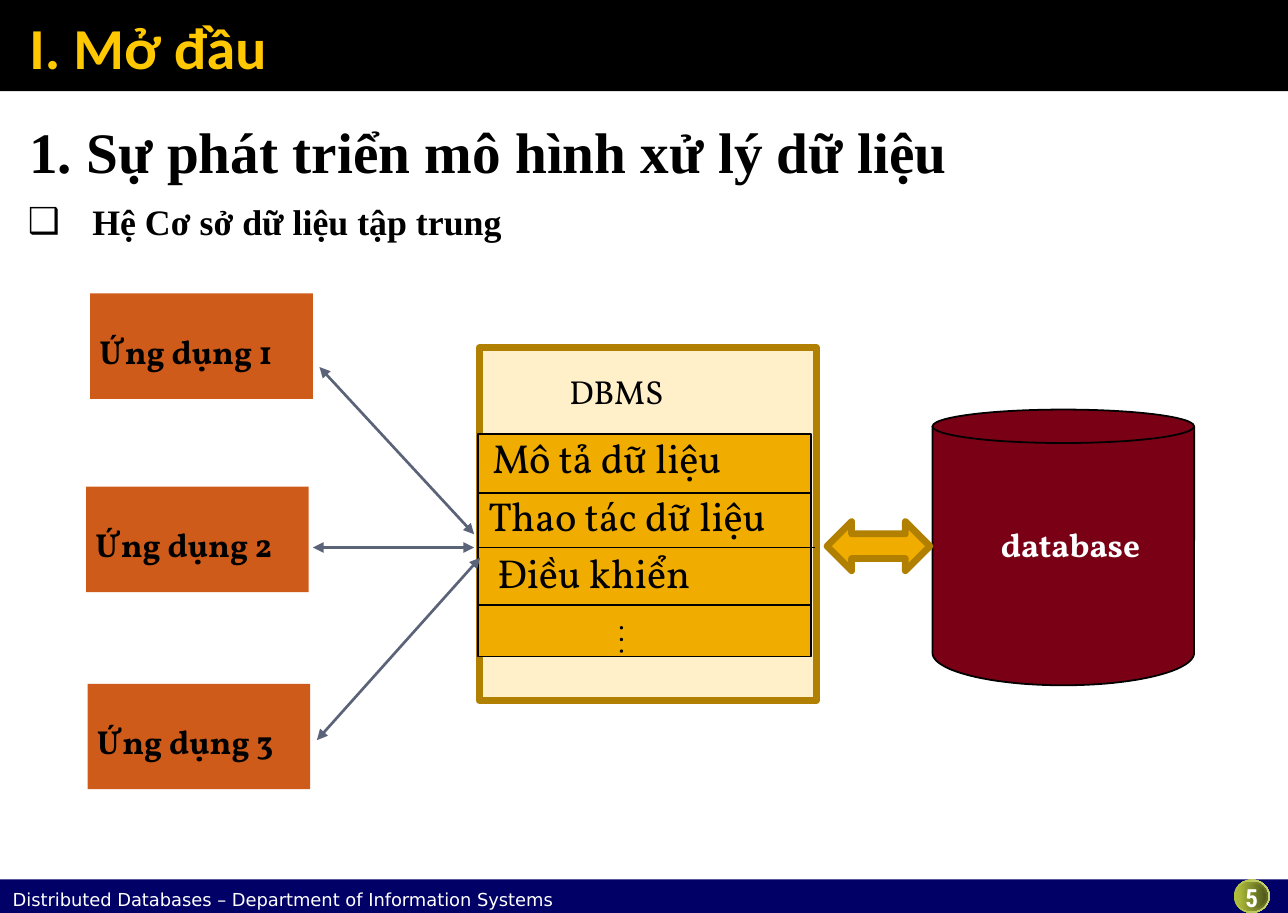
"""Build the slide on centralised database systems."""
import math

import lxml.etree
import pptx
import pptx.chart.data
import pptx.dml.color
import pptx.enum.shapes
import pptx.enum.text
import pptx.oxml
import pptx.oxml.ns
import pptx.util

Cm = pptx.util.Cm
Pt = pptx.util.Pt
KIND = pptx.enum.shapes.MSO_SHAPE
ALIGN = pptx.enum.text.PP_ALIGN
ANCHOR = pptx.enum.text.MSO_ANCHOR
qn = pptx.oxml.ns.qn

HUES = {
    "black": "000000", "white": "FFFFFF", "navy": "000066", "gold": "FFC800",
    "cream": "FFF0C9", "amber": "F0AD00", "brown": "B28000", "rust": "CF5B1B",
    "wine": "790015", "slate": "5A6378", "lime": "AFBE3C", "pale": "CAD47D",
    "moss": "5F6720", "olive": "51581C",
}
TITLE = "I. Mở đầu"
HEAD = "1. Sự phát triển mô hình xử lý dữ liệu"
ITEM = "Hệ Cơ sở dữ liệu tập trung"
FOOT = "Distributed Databases – Department of Information Systems"
PAGE = "5"
APPS = [("Ứng dụng 1", 1.78, 5.79), ("Ứng dụng 2", 1.7, 9.6), ("Ứng dụng 3", 1.73, 13.49)]
TASKS = [("Mô tả dữ liệu", 9.53), ("Thao tác dữ liệu", 9.45), ("Điều khiển", 9.63)]
RULES = [(9.72, 16), (10.8, 16.08), (11.94, 16)]
LINKS = [(6.17, 10.8, 9.35, 10.8), (6.3, 7.24, 9.35, 10.54), (6.25, 14.6, 9.47, 11)]
BALL = ["pale", "moss", "olive"]
SNUG = (0.18, 0.08, 0.18, 0.08)


def tint(name):
    return pptx.dml.color.RGBColor.from_string(HUES[name])


def paint(item, fill, line=None, width=1):
    item.shadow.inherit = False
    item.fill.solid()
    item.fill.fore_color.rgb = tint(fill)
    if line:
        item.line.color.rgb = tint(line)
        item.line.width = Pt(width)
    else:
        item.line.fill.background()
    return item


def shape(kind, box, fill, line=None, width=1):
    item = slide.shapes.add_shape(kind, *map(Cm, box))
    return paint(item, fill, line, width)


def write(item, text, size=18.6, font="Vollkorn", hue="black", bold=False,
          align=ALIGN.LEFT, anchor=ANCHOR.TOP, inset=SNUG, wrap=True):
    frame = item.text_frame
    frame.auto_size = pptx.enum.text.MSO_AUTO_SIZE.NONE
    frame.word_wrap = wrap
    frame.vertical_anchor = anchor
    (frame.margin_left, frame.margin_top,
     frame.margin_right, frame.margin_bottom) = map(Cm, inset)
    para = frame.paragraphs[0]
    para.alignment = align
    para.space_before = Pt(0)
    run = para.add_run()
    run.text = text
    run.font.size = Pt(size)
    run.font.name = font
    run.font.bold = bold
    run.font.color.rgb = tint(hue)
    return para


def label(box, text, **look):
    return write(slide.shapes.add_textbox(*map(Cm, box)), text, **look)


def place(item, box):
    item.left, item.top, item.width, item.height = map(Cm, box)
    item.element.getparent().append(item.element)
    return item


def join(ends, hue, width, heads=False):
    line = slide.shapes.add_connector(
        pptx.enum.shapes.MSO_CONNECTOR.STRAIGHT, *map(Cm, ends))
    line.line.color.rgb = tint(hue)
    line.line.width = Pt(width)
    if heads:
        for tag in ("a:headEnd", "a:tailEnd"):
            lxml.etree.SubElement(line.line._get_or_add_ln(), qn(tag), type="triangle")
    lxml.etree.SubElement(line.element.spPr, qn("a:effectLst"))


def drum(left, top, wide, base, lid, deep):
    half, mid = wide / 2, left + wide / 2
    rim = top + lid / 2
    turns = [math.pi * step / 48 for step in range(49)]
    curve = [(Cm(mid + half * math.cos(t)), Cm(base + deep * math.sin(t))) for t in turns]
    path = slide.shapes.build_freeform(Cm(left), Cm(rim))
    path.add_line_segments([(Cm(left + wide), Cm(rim))] + curve, close=True)
    paint(path.convert_to_shape(), "wine", "black")
    shape(KIND.OVAL, (left, top, wide, lid), "wine", "black")


def frame():
    shape(KIND.RECTANGLE, (0, 0, 25.4, 1.8), "black")
    shape(KIND.RECTANGLE, (0, 17.35, 25.4, 0.66), "navy")
    label((0.2, 17.53, 11.86, 0.43), FOOT, size=10, font="DejaVu Sans",
          hue="white", inset=(0.05, 0, 0.05, 0))
    for step, dark in enumerate(BALL):
        gap = 0.04 * step
        ball = shape(KIND.OVAL, (24.33 + gap, 17.35 + gap, 0.71 - 2 * gap, 0.66 - 2 * gap), "lime")
        ball.fill.gradient()
        ball.fill.gradient_angle = 0
        for stop, hue in zip(ball.fill.gradient_stops, ("lime", dark)):
            stop.color.rgb = tint(hue)
    label((24.05, 17.4, 1.27, 0.58), PAGE, size=14, font="Roboto Condensed",
          hue="white", bold=True, align=ALIGN.CENTER, inset=(0, 0, 0, 0))


def heads():
    title = place(slide.shapes.title, (0.33, 0.03, 24.82, 1.78))
    write(title, TITLE, size=32.4, font="Calibri", hue="gold", bold=True,
          anchor=ANCHOR.MIDDLE, inset=(0.25, 0.13, 0.13, 0.13))
    look = dict(font="Times New Roman", bold=True, inset=(0.25, 0.13, 0.25, 0.13), wrap=False)
    label((0.33, 2.16, 19.05, 1.63), HEAD, size=32, **look)
    body = place(slide.placeholders[1], (0.3, 3.81, 9.93, 1.12))
    props = write(body, ITEM, size=20, **look)._p.get_or_add_pPr()
    props.set("marL", str(Cm(1.27)))
    props.set("indent", str(Cm(-1.27)))
    lxml.etree.SubElement(props, qn("a:buChar"), char="❑")


def model():
    shape(KIND.RECTANGLE, (9.45, 6.86, 6.65, 6.96), "cream", "brown", 3.78)
    label((11.05, 7.24, 2.39, 0.97), "DBMS", wrap=False)
    shape(KIND.RECTANGLE, (9.42, 8.56, 6.58, 4.39), "amber", "black")
    for y, right in RULES:
        join((9.42, y, right, y), "black", 1)
    for row, (text, left) in enumerate(TASKS):
        label((left, 8.46 + 1.14 * row, 6.4, 1.14), text, size=22.6, wrap=False)
    for step in range(3):
        shape(KIND.OVAL, (12.24, 12.37 + 0.23 * step, 0.03, 0.03), "black", "black")
    for text, left, top in APPS:
        app = shape(KIND.RECTANGLE, (left, top, 4.39, 2.08), "rust")
        write(app, text, bold=True, anchor=ANCHOR.MIDDLE, inset=(0.18, 0.28, 0.18, 0.08))
    for ends in LINKS:
        join(ends, "slate", 1.5, heads=True)
    drum(18.39, 8.08, 5.16, 12.88, 0.66, 0.64)
    label((19.56, 10.26, 3.2, 0.97), "database", hue="white", bold=True, wrap=False)
    shape(KIND.LEFT_RIGHT_ARROW, (16.31, 10.29, 2.03, 0.97), "amber", "brown", 3.78)


deck = pptx.Presentation()
deck.slide_width, deck.slide_height = Cm(25.4), Cm(18.01)
slide = deck.slides.add_slide(deck.slide_layouts[1])
frame()
heads()
model()
deck.save("out.pptx")
